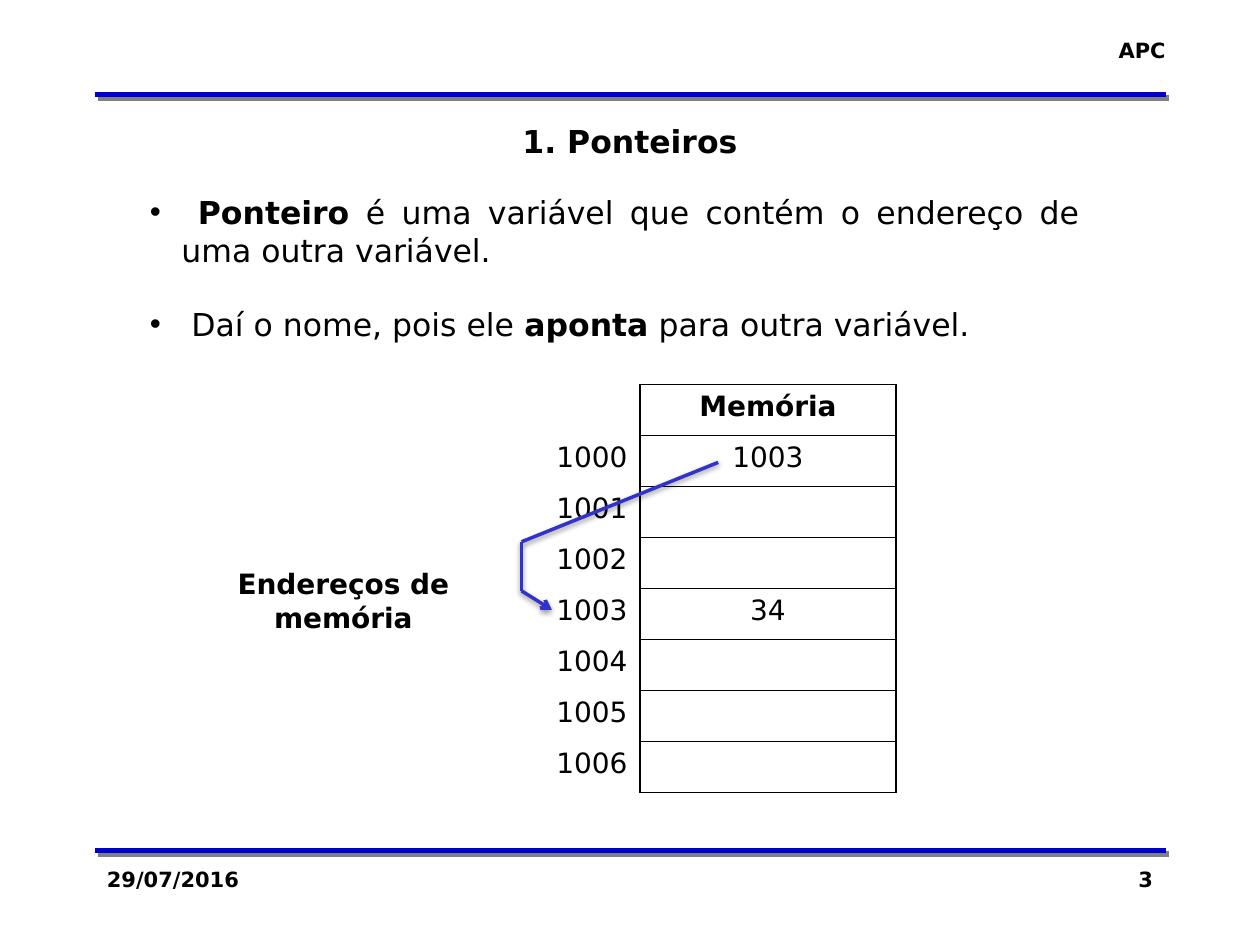
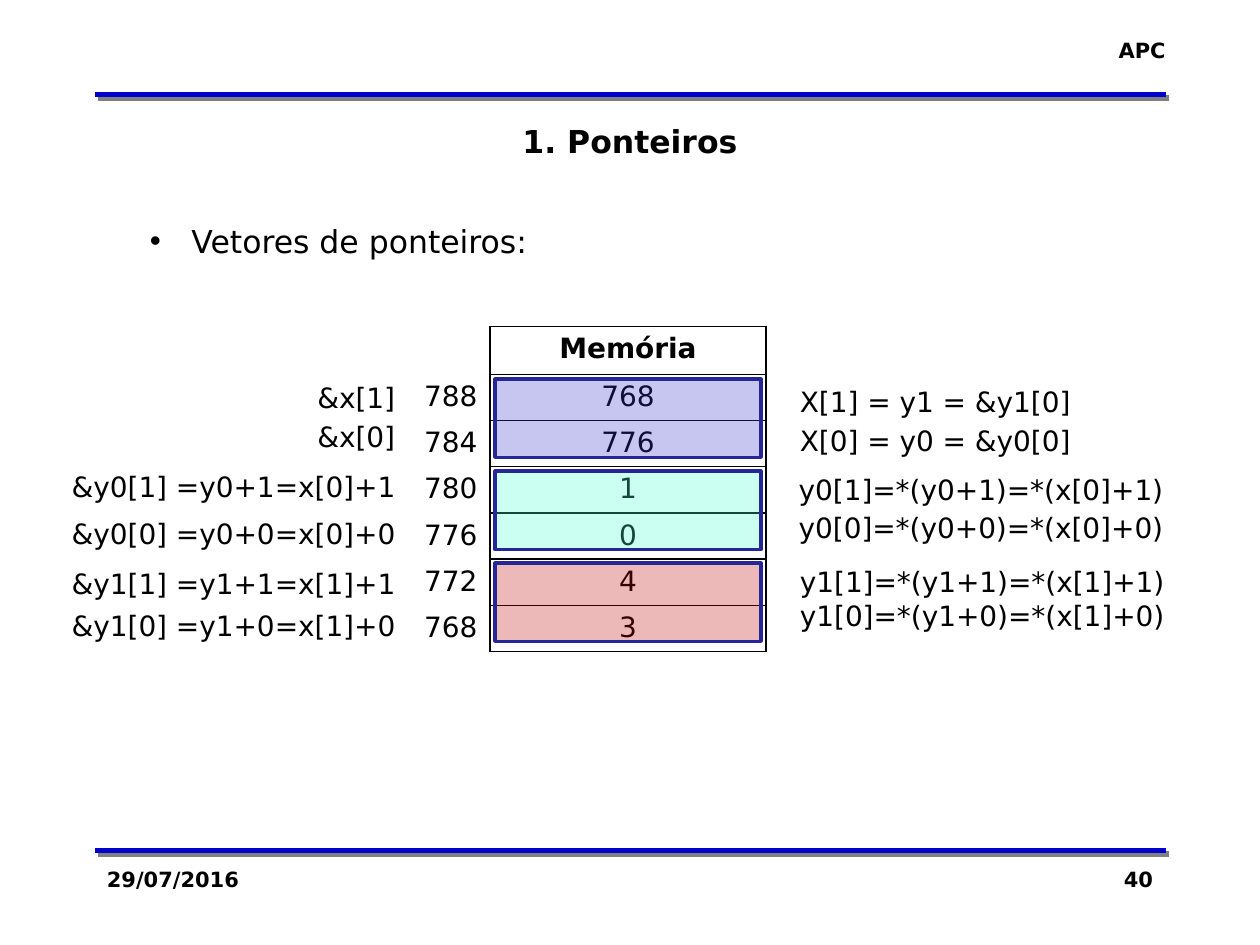
"""Two slides on pointers: an address stored in memory, and arrays of pointers."""
from lxml import etree
from pptx import Presentation
from pptx.dml.color import RGBColor
from pptx.enum.shapes import MSO_CONNECTOR, MSO_SHAPE
from pptx.enum.text import MSO_ANCHOR, MSO_AUTO_SIZE, PP_ALIGN
from pptx.oxml.ns import qn
from pptx.util import Inches, Pt

LEFT, CENTER, RIGHT, JUSTIFY = PP_ALIGN.LEFT, PP_ALIGN.CENTER, PP_ALIGN.RIGHT, PP_ALIGN.JUSTIFY
STRAIGHT, RECTANGLE = MSO_CONNECTOR.STRAIGHT, MSO_SHAPE.RECTANGLE
FONT = "DejaVu Sans"
COLORS = {"text": "000000", "paper": "FFFFFF", "rule": "0000CC", "rule_shadow": "808080",
          "arrow": "3333CC", "outline": "262697",
          "x": "3333CC", "y0": "47FFD1", "y1": "C00000"}
FORMATS = {
    "small": {"size": Pt(12), "bold": True},
    "title": {"size": Pt(18), "bold": True},
    "body": {"size": Pt(18), "bold": False},
    "strong": {"size": Pt(18), "bold": True},
    "label": {"size": Pt(16), "bold": False},
    "heading": {"size": Pt(16), "bold": True},
}
FRAME = {"word_wrap": True, "auto_size": MSO_AUTO_SIZE.NONE, "vertical_anchor": MSO_ANCHOR.TOP,
         "margin_left": Inches(0.1), "margin_right": Inches(0.1),
         "margin_top": Inches(0.05), "margin_bottom": Inches(0.05)}
RULE_SHADOW = {"color": "rule_shadow", "alpha": 100, "blur": 0, "distance": 2.8, "angle": 45}
ARROW_SHADOW = {"color": "text", "alpha": 38, "blur": 3.1, "distance": 1.6, "angle": 90}

TITLE, COURSE, DATE = "1. Ponteiros", "APC", "29/07/2016"

POINTER = {
    "number": "3",
    "body_at": (1.09, 1.48, 7.58, 1.31),
    "points": [
        [(" ", "body"), ("Ponteiro", "strong"),
         (" é uma variável que contém o endereço de uma outra variável.", "body")],
        [(" Daí o nome, pois ele ", "body"), ("aponta", "strong"),
         (" para outra variável.", "body")],
    ],
    "memory_at": (2.97, 3.05, 4.14, 3.24),
    "address_width": 2.11,
    "memory": [("1000", "1003"), ("1001", ""), ("1002", ""), ("1003", "34"),
               ("1004", ""), ("1005", ""), ("1006", "")],
}
ARROW_POINTS = [(5.7, 3.67), (4.14, 4.3), (4.14, 4.69), (4.38, 4.84)]
ADDRESSES_LABEL = ("Endereços de memória", (1.33, 4.45, 2.79, 0.64))

ARRAYS = {
    "number": "40",
    "body_at": (1.09, 1.71, 7.58, 0.4),
    "points": [[(" Vetores de ponteiros:", "body")]],
    "memory_at": (3.05, 2.59, 3.03, 2.57),
    "address_width": 0.84,
    "memory": [("788", "768"), ("784", "776"), ("780", "1"),
               ("776", "0"), ("772", "4"), ("768", "3")],
}
EXPRESSIONS = [
    ("&x[1]", 2.42, 2.97), ("&x[0]", 2.42, 3.28),
    ("&y0[1] =y0+1=x[0]+1", 0.47, 3.68), ("&y0[0] =y0+0=x[0]+0", 0.47, 4.05),
    ("&y1[1] =y1+1=x[1]+1", 0.47, 4.45), ("&y1[0] =y1+0=x[1]+0", 0.47, 4.78),
    ("X[1] = y1 = &y1[0]", 6.25, 3), ("X[0] = y0 = &y0[0]", 6.25, 3.31),
    ("y0[1]=*(y0+1)=*(x[0]+1)", 6.24, 3.7), ("y0[0]=*(y0+0)=*(x[0]+0)", 6.24, 4),
    ("y1[1]=*(y1+1)=*(x[1]+1)", 6.25, 4.43), ("y1[0]=*(y1+0)=*(x[1]+0)", 6.25, 4.7),
]
EXPRESSION_SIZE = (3.44, 0.37)
ARRAY_BANDS = ["x", "y0", "y1"]
BAND_AT, BAND_STEP = (3.93, 3.01, 2.11, 0.62), 0.73


def inches(values):
    return [Inches(value) for value in values]


def rgb(name):
    return RGBColor.from_string(COLORS[name])


def apply(target, values):
    for name, value in values.items():
        setattr(target, name, value)


def add_xml(parent, tag, **attributes):
    return etree.SubElement(parent, qn(tag), attributes)


def write(paragraph, runs, alignment):
    paragraph.alignment = alignment
    for text, style in runs:
        run = paragraph.add_run()
        run.text = text
        apply(run.font, {"name": FONT, **FORMATS[style]})
        run.font.color.rgb = rgb("text")


def add_label(slide, text, at, style, alignment=LEFT):
    frame = slide.shapes.add_textbox(*inches(at)).text_frame
    apply(frame, FRAME)
    write(frame.paragraphs[0], [(text, style)], alignment)


def fill_placeholder(placeholder, at, paragraphs, alignment):
    apply(placeholder, dict(zip(("left", "top", "width", "height"), inches(at))))
    frame = placeholder.text_frame
    apply(frame, FRAME)
    for index, runs in enumerate(paragraphs):
        paragraph = frame.add_paragraph() if index else frame.paragraphs[0]
        paragraph.space_before = Pt(21 if index else 0)
        write(paragraph, runs, alignment)
    return frame


def add_line(slide, start, end, color, width, shadow, arrow=False):
    line = slide.shapes.add_connector(STRAIGHT, *inches(start + end))
    line.line.color.rgb = rgb(color)
    line.line.width = Pt(width)
    properties = line._element.spPr
    if arrow:
        add_xml(properties.find(qn("a:ln")), "a:tailEnd", type="arrow")
    outer = add_xml(add_xml(properties, "a:effectLst"), "a:outerShdw",
                    blurRad=str(Pt(shadow["blur"])), dist=str(Pt(shadow["distance"])),
                    dir=str(shadow["angle"] * 60000), algn="ctr", rotWithShape="0")
    tint = add_xml(outer, "a:srgbClr", val=COLORS[shadow["color"]])
    add_xml(tint, "a:alpha", val=str(shadow["alpha"] * 1000))


def add_borders(cell, sides):
    properties = cell._tc.get_or_add_tcPr()
    for index, side in enumerate(sides):
        border = etree.Element(qn(f"a:ln{side}"), w=str(Pt(1)))
        add_xml(add_xml(border, "a:solidFill"), "a:srgbClr", val=COLORS["text"])
        properties.insert(index, border)


def add_memory(slide, at, address_width, rows):
    rows = [("", "Memória")] + rows
    table = slide.shapes.add_table(len(rows), 2, *inches(at)).table
    apply(table, {"first_row": False, "horz_banding": False})
    for column, width in zip(table.columns, (address_width, at[2] - address_width)):
        column.width = Inches(width)
    for index, values in enumerate(rows):
        table.rows[index].height = Inches(at[3] / len(rows))
        style = "label" if index else "heading"
        for column, (text, alignment, sides) in enumerate(zip(values, (RIGHT, CENTER), ("R", "LRTB"))):
            cell = table.cell(index, column)
            cell.fill.solid()
            cell.fill.fore_color.rgb = rgb("paper")
            add_borders(cell, sides)
            write(cell.text_frame.paragraphs[0], [(text, style)], alignment)


def add_band(slide, name, at):
    band = slide.shapes.add_shape(RECTANGLE, *inches(at))
    band.shadow.inherit = False
    band.fill.solid()
    band.fill.fore_color.rgb = rgb(name)
    tint = band._element.spPr.find(qn("a:solidFill")).find(qn("a:srgbClr"))
    add_xml(tint, "a:alpha", val="28000")
    band.line.color.rgb = rgb("outline")
    band.line.width = Pt(2)


def add_slide(deck, content):
    slide = deck.slides.add_slide(deck.slide_layouts[1])
    for y in (0.75, 6.75):
        add_line(slide, (0.75, y), (9.25, y), "rule", 3, RULE_SHADOW)
    add_label(slide, COURSE, (8.25, 0.25, 1.1, 0.3), "small", RIGHT)
    add_label(slide, DATE, (0.75, 6.83, 2.08, 0.5), "small")
    add_label(slide, content["number"], (7.17, 6.83, 2.08, 0.5), "small", RIGHT)
    fill_placeholder(slide.shapes.title, (0.75, 0.92, 8.5, 0.4), [[(TITLE, "title")]], CENTER)
    points = fill_placeholder(slide.placeholders[1], content["body_at"], content["points"], JUSTIFY)
    for point in points.paragraphs:
        properties = point._p.get_or_add_pPr()
        properties.set("marL", str(Inches(0.25)))
        properties.set("indent", str(-Inches(0.25)))
    add_memory(slide, content["memory_at"], content["address_width"], content["memory"])
    return slide


def main():
    deck = Presentation()
    deck.slide_width, deck.slide_height = Inches(10), Inches(7.5)

    pointer = add_slide(deck, POINTER)
    for start, end in zip(ARROW_POINTS, ARROW_POINTS[1:]):
        add_line(pointer, start, end, "arrow", 2, ARROW_SHADOW, end == ARROW_POINTS[-1])
    add_label(pointer, *ADDRESSES_LABEL, "heading", CENTER)

    arrays = add_slide(deck, ARRAYS)
    for text, left, top in EXPRESSIONS:
        add_label(arrays, text, (left, top) + EXPRESSION_SIZE, "label")
    left, top, width, height = BAND_AT
    for index, name in enumerate(ARRAY_BANDS):
        add_band(arrays, name, (left, top + index * BAND_STEP, width, height))

    deck.save("out.pptx")


if __name__ == "__main__":
    main()
